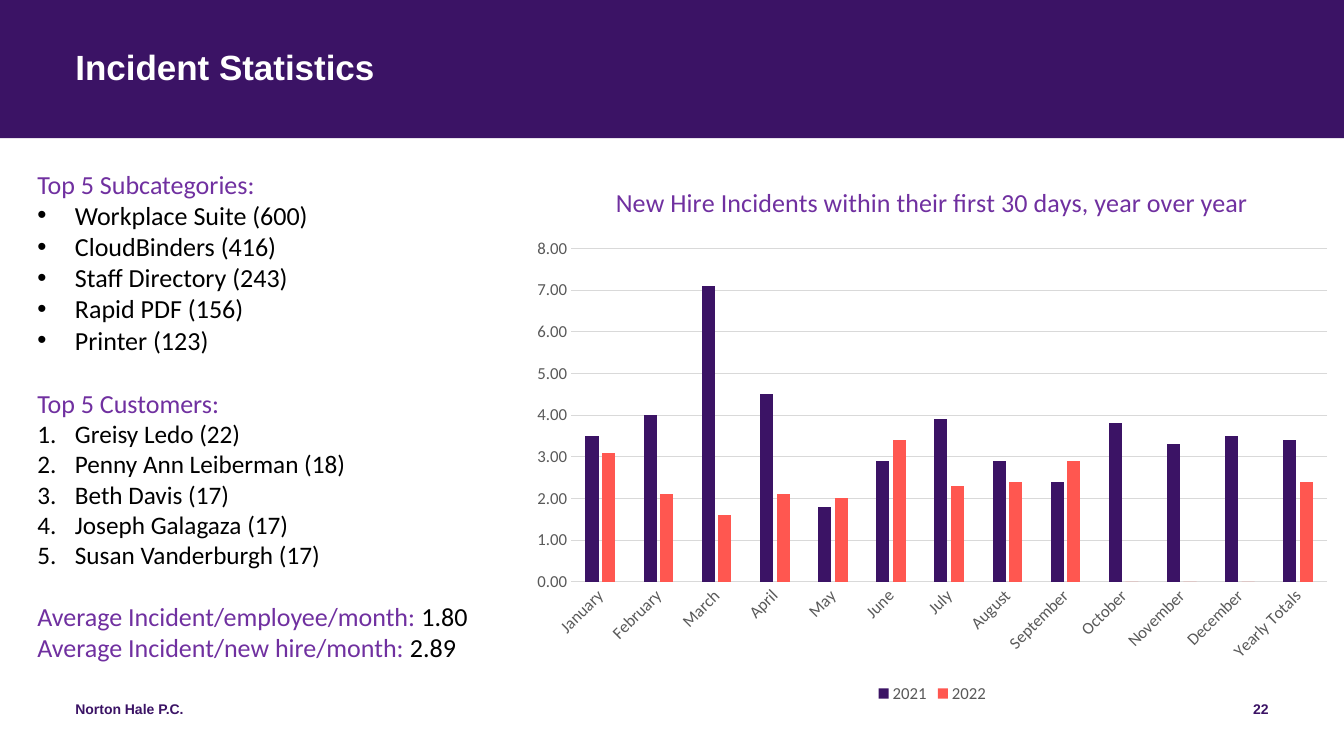
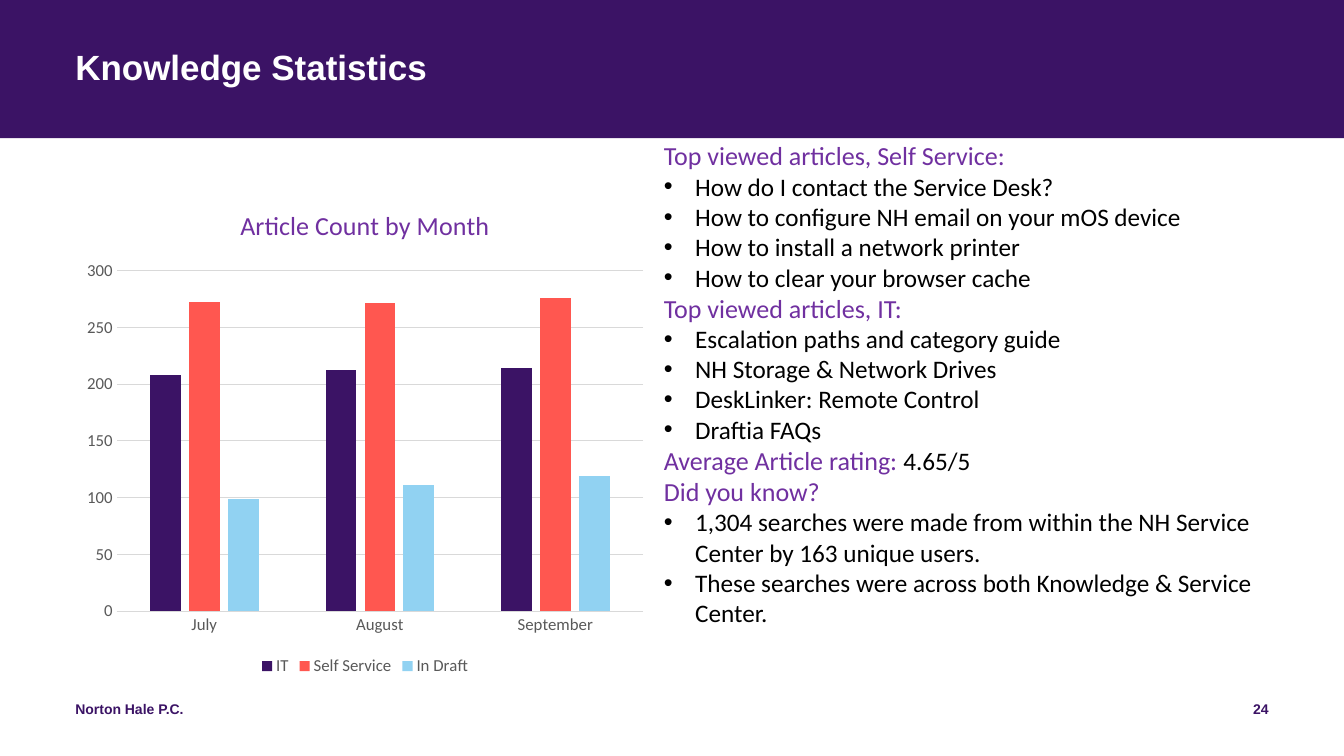
from dataclasses import dataclass

from lxml import etree
from pptx import Presentation
from pptx.chart.data import CategoryChartData
from pptx.dml.color import RGBColor
from pptx.enum.chart import XL_CHART_TYPE, XL_LEGEND_POSITION, XL_TICK_MARK
from pptx.enum.shapes import MSO_SHAPE
from pptx.enum.text import PP_ALIGN
from pptx.oxml.ns import qn
from pptx.util import Cm, Pt

COLUMNS = XL_CHART_TYPE.COLUMN_CLUSTERED
LEGEND_BELOW = XL_LEGEND_POSITION.BOTTOM
NO_TICKS = XL_TICK_MARK.NONE
RECTANGLE = MSO_SHAPE.RECTANGLE
LEFT, RIGHT = PP_ALIGN.LEFT, PP_ALIGN.RIGHT


@dataclass(frozen=True)
class Theme:
    brand: str = "3B1365"
    heading: str = "7030A0"
    text: str = "000000"
    title: str = "FFFFFF"
    axis: str = "595959"
    grid: str = "D9D9D9"
    series: tuple = ("3B1365", "FF5750", "91D2F2")
    display_font: str = "Arial"
    body_font: str = "Calibri"
    title_size: float = 25
    heading_size: float = 18.6
    body_size: float = 18
    axis_size: float = 12
    footer_size: float = 10
    page_width: float = 33.87
    page_height: float = 19.05
    margin: float = 1.9
    band_height: float = 3.48


THEME = Theme()
FOOTER = "Norton Hale P.C."


@dataclass(frozen=True)
class Line:
    """One paragraph: a purple heading, black text, or both on one line."""
    heading: str = ""
    text: str = ""
    marker: str = ""
    size: float = THEME.body_size
    gap: float = 0


def bullets(*texts, size=THEME.body_size):
    return [Line(text=text, marker="bullet", size=size) for text in texts]


def numbers(*texts):
    return [Line(text=text, marker="number") for text in texts]


def set_font(font, size, color, name=THEME.body_font, bold=False):
    font.size, font.name, font.bold = Pt(size), name, bold
    font.color.rgb = RGBColor.from_string(color)


def add_box(page, left, top, width, height, inset=None):
    box = page.shapes.add_textbox(Cm(left), Cm(top), Cm(width), Cm(height))
    frame = box.text_frame
    frame.word_wrap = True
    if inset is not None:
        frame.margin_left = frame.margin_right = Cm(inset)
        frame.margin_top = frame.margin_bottom = Cm(inset)
    return frame


def add_label(page, text, left, top, width, height, size, color, align=LEFT):
    frame = add_box(page, left, top, width, height, inset=0)
    frame.text = text
    para = frame.paragraphs[0]
    para.alignment = align
    set_font(para.runs[0].font, size, color, THEME.display_font, bold=True)
    return para


def add_frame(page, title, number):
    """Draw the title band, title and footer shared by all pages."""
    band = page.shapes.add_shape(
        RECTANGLE, 0, 0, Cm(THEME.page_width), Cm(THEME.band_height))
    band.shadow.inherit = False
    band.fill.solid()
    band.fill.fore_color.rgb = RGBColor.from_string(THEME.brand)
    band.line.fill.background()

    inner_width = THEME.page_width - 2 * THEME.margin
    heading = add_label(page, title, THEME.margin, 1.27, inner_width, 2.06,
                        THEME.title_size, THEME.title)
    heading.line_spacing = 0.9
    footer_top, footer_height, number_width = 17.65, 1.02, 7.62
    add_label(page, FOOTER, THEME.margin, footer_top, 11.43, footer_height,
              THEME.footer_size, THEME.brand)
    add_label(page, str(number), THEME.page_width - THEME.margin - number_width,
              footer_top, number_width, footer_height,
              THEME.footer_size, THEME.brand, RIGHT)


def add_marker(para, marker, indent):
    props = para._p.get_or_add_pPr()
    props.set("marL", str(Cm(indent)))
    props.set("indent", str(-Cm(indent)))
    if marker == "number":
        etree.SubElement(props, qn("a:buFont"), typeface="+mj-lt")
        etree.SubElement(props, qn("a:buAutoNum"), type="arabicPeriod")
    else:
        etree.SubElement(props, qn("a:buFont"), typeface="Arial")
        etree.SubElement(props, qn("a:buChar"), char="•")


def add_lines(page, lines, left, top, width, height, indent):
    frame = add_box(page, left, top, width, height)
    for index, line in enumerate(lines):
        para = frame.add_paragraph() if index else frame.paragraphs[0]
        if line.gap:
            para.space_before = Pt(line.gap)
        if line.marker:
            add_marker(para, line.marker, indent)
        spans = ((line.heading, THEME.heading_size, THEME.heading),
                 (line.text, line.size, THEME.text))
        for text, size, color in spans:
            if text:
                span = para.add_run()
                span.text = text
                set_font(span.font, size, color)


def style_axis(axis, line=None):
    axis.major_tick_mark = axis.minor_tick_mark = NO_TICKS
    set_font(axis.tick_labels.font, THEME.axis_size, THEME.axis)
    if line:
        style_line(axis.format.line, line)
    else:
        axis.format.line.fill.background()


def style_line(line, color):
    line.color.rgb = RGBColor.from_string(color)
    line.width = Pt(0.75)


def add_columns(page, title, months, series, left, top, width, height,
                top_value, step, number_format="General", label_angle=0):
    data = CategoryChartData()
    data.categories = months
    for name, values in series.items():
        data.add_series(name, values)
    chart = page.shapes.add_chart(
        COLUMNS, Cm(left), Cm(top), Cm(width), Cm(height), data).chart
    set_font(chart.font, THEME.footer_size, THEME.text)

    chart.has_title = True
    chart.chart_title.text_frame.text = title
    heading = chart.chart_title.text_frame.paragraphs[0].runs[0]
    set_font(heading.font, THEME.heading_size, THEME.heading)
    chart.has_legend = True
    chart.legend.position = LEGEND_BELOW
    chart.legend.include_in_layout = False
    set_font(chart.legend.font, THEME.axis_size, THEME.axis)

    style_axis(chart.category_axis, THEME.grid)
    label_body = chart.category_axis._element.find(qn("c:txPr")).find(qn("a:bodyPr"))
    label_body.set("rot", str(label_angle * 60000))
    values = chart.value_axis
    style_axis(values)
    style_line(values.major_gridlines.format.line, THEME.grid)
    values.minimum_scale, values.maximum_scale = 0, top_value
    values.major_unit = step
    values.tick_labels.number_format = number_format
    values.tick_labels.number_format_is_linked = False

    plot = chart.plots[0]
    plot.vary_by_categories = False
    plot.gap_width, plot.overlap = 219, -27
    for bars, color in zip(plot.series, THEME.series):
        bars.format.fill.solid()
        bars.format.fill.fore_color.rgb = RGBColor.from_string(color)


def build_incidents(page):
    add_frame(page, "Incident Statistics", 22)
    large = THEME.heading_size
    lines = [
        Line("Top 5 Subcategories:"),
        *bullets("Workplace Suite (600)", "CloudBinders (416)",
                 "Staff Directory (243)", "Rapid PDF (156)", "Printer (123)",
                 size=large),
        Line("Top 5 Customers:", gap=22.7),
        *numbers("Greisy Ledo (22)", "Penny Ann Leiberman (18)",
                 "Beth Davis (17)", "Joseph Galagaza (17)",
                 "Susan Vanderburgh (17)"),
        Line("Average Incident/employee/month: ", "1.80", size=large, gap=22),
        Line("Average Incident/new hire/month: ", "2.89", size=large),
    ]
    add_lines(page, lines, 0.69, 4.11, 12.47, 12.83, indent=0.95)
    months = ["January", "February", "March", "April", "May", "June", "July",
              "August", "September", "October", "November", "December",
              "Yearly Totals"]
    rates = {
        "2021": [3.5, 4, 7.1, 4.5, 1.8, 2.9, 3.9, 2.9, 2.4, 3.8, 3.3, 3.5, 3.4],
        "2022": [3.1, 2.1, 1.6, 2.1, 2, 3.4, 2.3, 2.4, 2.9, 0, 0, 0, 2.4],
    }
    add_columns(page, "New Hire Incidents within their first 30 days, year over year",
                months, rates, 13.13, 4.11, 20.73, 13.72,
                top_value=8, step=1, number_format="0.00", label_angle=-45)


def build_knowledge(page):
    add_frame(page, "Knowledge Statistics", 24)
    counts = {
        "IT": [208, 212, 214],
        "Self Service": [272, 271, 276],
        "In Draft": [99, 111, 119],
    }
    add_columns(page, "Article Count by Month", ["July", "August", "September"],
                counts, THEME.margin, 4.72, 14.6, 12.42, top_value=300, step=50)
    lines = [
        Line("Top viewed articles, Self Service:"),
        *bullets("How do I contact the Service Desk?",
                 "How to configure NH email on your mOS device",
                 "How to install a network printer",
                 "How to clear your browser cache"),
        Line("Top viewed articles, IT:"),
        *bullets("Escalation paths and category guide",
                 "NH Storage & Network Drives",
                 "DeskLinker: Remote Control",
                 "Draftia FAQs"),
        Line("Average Article rating: ", "4.65/5"),
        Line("Did you know?"),
        *bullets("1,304 searches were made from within the NH Service "
                 "Center by 163 unique users.",
                 "These searches were across both Knowledge & Service Center."),
    ]
    add_lines(page, lines, 16.48, 3.4, 16.05, 12.65, indent=0.79)


def main():
    deck = Presentation()
    deck.slide_width, deck.slide_height = Cm(THEME.page_width), Cm(THEME.page_height)
    blank = deck.slide_layouts[6]
    for build in (build_incidents, build_knowledge):
        build(deck.slides.add_slide(blank))
    deck.save("out.pptx")


if __name__ == "__main__":
    main()
